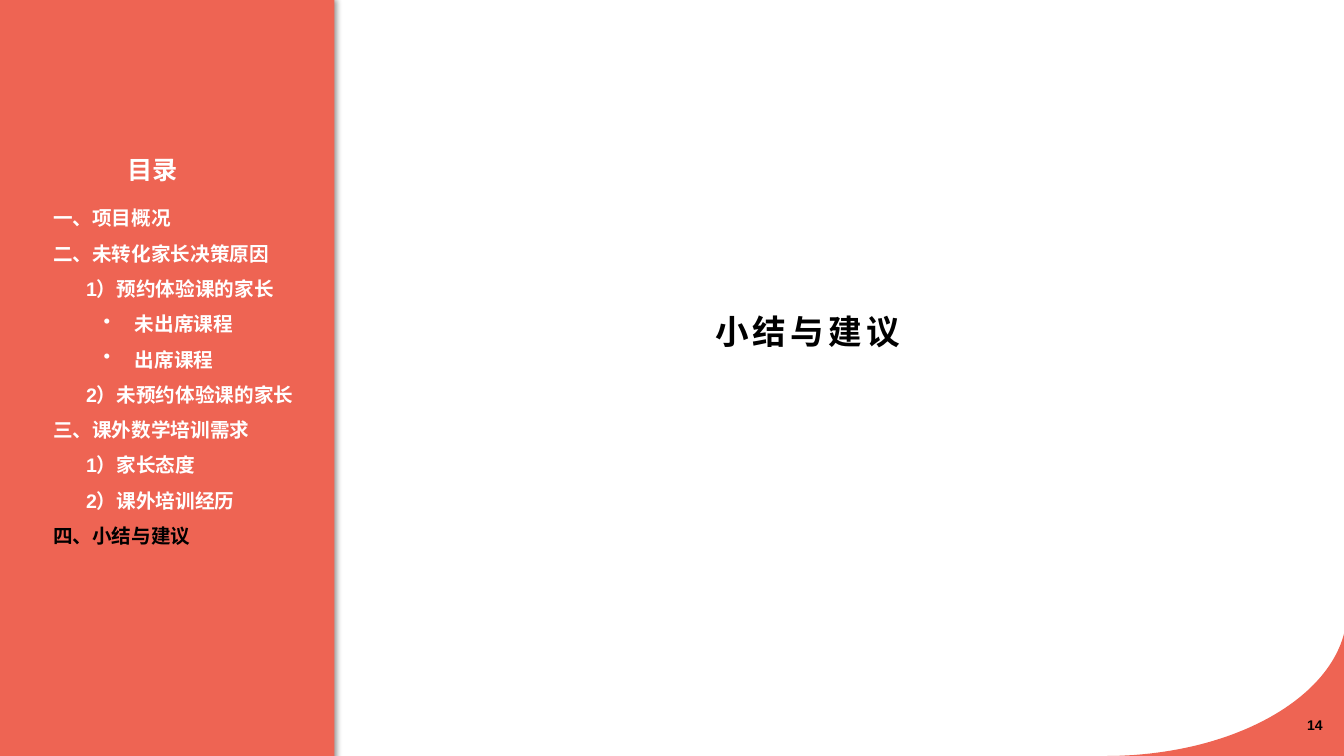
"""Build the closing section slide with its table of contents sidebar."""
from dataclasses import dataclass

import lxml.etree
import pptx
import pptx.dml.color
import pptx.enum.shapes
import pptx.enum.text
import pptx.oxml
import pptx.oxml.ns
import pptx.util

Cm = pptx.util.Cm
Pt = pptx.util.Pt
ALIGN = pptx.enum.text.PP_ALIGN
ANCHOR = pptx.enum.text.MSO_ANCHOR
CORAL, WHITE, BLACK = "EE6453", "FFFFFF", "000000"
FONT = "Arial"
SUB_INDENT = 0.83
BULLET_INDENT, BULLET_HANG = 2.06, 0.79
CURVE_STEPS = 48


@dataclass(frozen=True)
class Box:
    left: float
    top: float
    width: float
    height: float

    def lengths(self) -> tuple:
        return Cm(self.left), Cm(self.top), Cm(self.width), Cm(self.height)


@dataclass(frozen=True)
class Line:
    text: str
    size: float
    color: str = WHITE
    align: ALIGN = ALIGN.LEFT
    spacing: float = 1.0
    indent: float = 0
    bullet: bool = False


@dataclass(frozen=True)
class TextBlock:
    box: Box
    lines: tuple
    anchor: ANCHOR = ANCHOR.TOP


def entry(text: str, color: str = WHITE, indent: float = 0, bullet: bool = False) -> Line:
    return Line(text, 14, color, spacing=1.5, indent=indent, bullet=bullet)


TITLE = TextBlock(
    Box(7.65, 6.63, 25.4, 2.34),
    (Line("小结与建议", 24, BLACK, ALIGN.CENTER, 1.5),),
    ANCHOR.BOTTOM,
)
SIDEBAR = Box(0, -0.08, 8.43, 19.18)
CORNER_CURVE = ((28.02, 19.05), (31.09, 19.0), (33.58, 17.6), (33.91, 15.8))
CORNER_EDGE = ((33.93, 15.77), (33.96, 19.08), (27.99, 19.13), (27.91, 19.05))
TEXT_BLOCKS = (
    TextBlock(Box(2.16, 3.76, 3.38, 1.02), (Line("目录", 18, align=ALIGN.CENTER),)),
    TextBlock(
        Box(25.96, 17.75, 7.62, 1.02),
        (Line("14", 10, BLACK, ALIGN.RIGHT),),
        ANCHOR.MIDDLE,
    ),
    TextBlock(
        Box(1.09, 4.78, 9.22, 9.22),
        (
            entry("一、项目概况"),
            entry("二、未转化家长决策原因"),
            entry("1）预约体验课的家长", indent=SUB_INDENT),
            entry("未出席课程", indent=BULLET_INDENT, bullet=True),
            entry("出席课程", indent=BULLET_INDENT, bullet=True),
            entry("2）未预约体验课的家长", indent=SUB_INDENT),
            entry("三、课外数学培训需求"),
            entry("1）家长态度", indent=SUB_INDENT),
            entry("2）课外培训经历", indent=SUB_INDENT),
            entry("四、小结与建议", BLACK),
        ),
    ),
)


def rgb(color: str) -> pptx.dml.color.RGBColor:
    return pptx.dml.color.RGBColor.from_string(color)


def write_text(shape, block: TextBlock) -> None:
    frame = shape.text_frame
    frame.word_wrap = True
    frame.auto_size = pptx.enum.text.MSO_AUTO_SIZE.NONE
    frame.vertical_anchor = block.anchor
    for index, line in enumerate(block.lines):
        paragraph = frame.add_paragraph() if index else frame.paragraphs[0]
        paragraph.alignment = line.align
        paragraph.line_spacing = line.spacing
        run = paragraph.add_run()
        run.text = line.text
        run.font.name = FONT
        run.font.size = Pt(line.size)
        run.font.bold = True
        run.font.color.rgb = rgb(line.color)
        if line.indent:
            properties = paragraph._p.get_or_add_pPr()
            properties.set("marL", str(Cm(line.indent)))
            if line.bullet:
                paragraph.level = 1
                properties.set("indent", str(-Cm(BULLET_HANG)))
                bullet = lxml.etree.SubElement(properties, pptx.oxml.ns.qn("a:buChar"))
                bullet.set("char", "•")


def paint(shape, color: str) -> None:
    shape.shadow.inherit = False
    shape.fill.solid()
    shape.fill.fore_color.rgb = rgb(color)
    shape.line.fill.background()


def add_title(slide, block: TextBlock) -> None:
    title = slide.shapes.title
    title.left, title.top, title.width, title.height = block.box.lengths()
    write_text(title, block)
    run = title.text_frame.paragraphs[0].runs[0]
    run._r.get_or_add_rPr().set("spc", "300")


def curve_point(curve: tuple, share: float) -> tuple:
    rest = 1 - share
    weights = (rest**3, 3 * rest**2 * share, 3 * rest * share**2, share**3)
    return tuple(
        Cm(sum(weight * point[axis] for weight, point in zip(weights, curve)))
        for axis in (0, 1)
    )


def add_corner(slide) -> None:
    points = [curve_point(CORNER_CURVE, step / CURVE_STEPS) for step in range(CURVE_STEPS + 1)]
    points += [(Cm(x), Cm(y)) for x, y in CORNER_EDGE]
    builder = slide.shapes.build_freeform(*points[0])
    builder.add_line_segments(points[1:], close=True)
    paint(builder.convert_to_shape(), CORAL)


def add_sidebar(slide) -> None:
    rectangle = pptx.enum.shapes.MSO_SHAPE.RECTANGLE
    sidebar = slide.shapes.add_shape(rectangle, *SIDEBAR.lengths())
    paint(sidebar, CORAL)
    effects = sidebar._element.spPr.find(pptx.oxml.ns.qn("a:effectLst"))
    effects.append(pptx.oxml.parse_xml(
        f'<a:outerShdw {pptx.oxml.ns.nsdecls("a")} blurRad="{Pt(4)}" dist="{Pt(3)}" '
        f'dir="2700000" algn="tl" rotWithShape="0"><a:srgbClr val="{BLACK}">'
        '<a:alpha val="40000"/></a:srgbClr></a:outerShdw>'
    ))


def main() -> None:
    presentation = pptx.Presentation()
    presentation.slide_width = Cm(33.87)
    presentation.slide_height = Cm(19.05)
    slide = presentation.slides.add_slide(presentation.slide_layouts[5])
    add_title(slide, TITLE)
    add_corner(slide)
    add_sidebar(slide)
    for block in TEXT_BLOCKS:
        write_text(slide.shapes.add_textbox(*block.box.lengths()), block)
    presentation.save("out.pptx")


if __name__ == "__main__":
    main()
